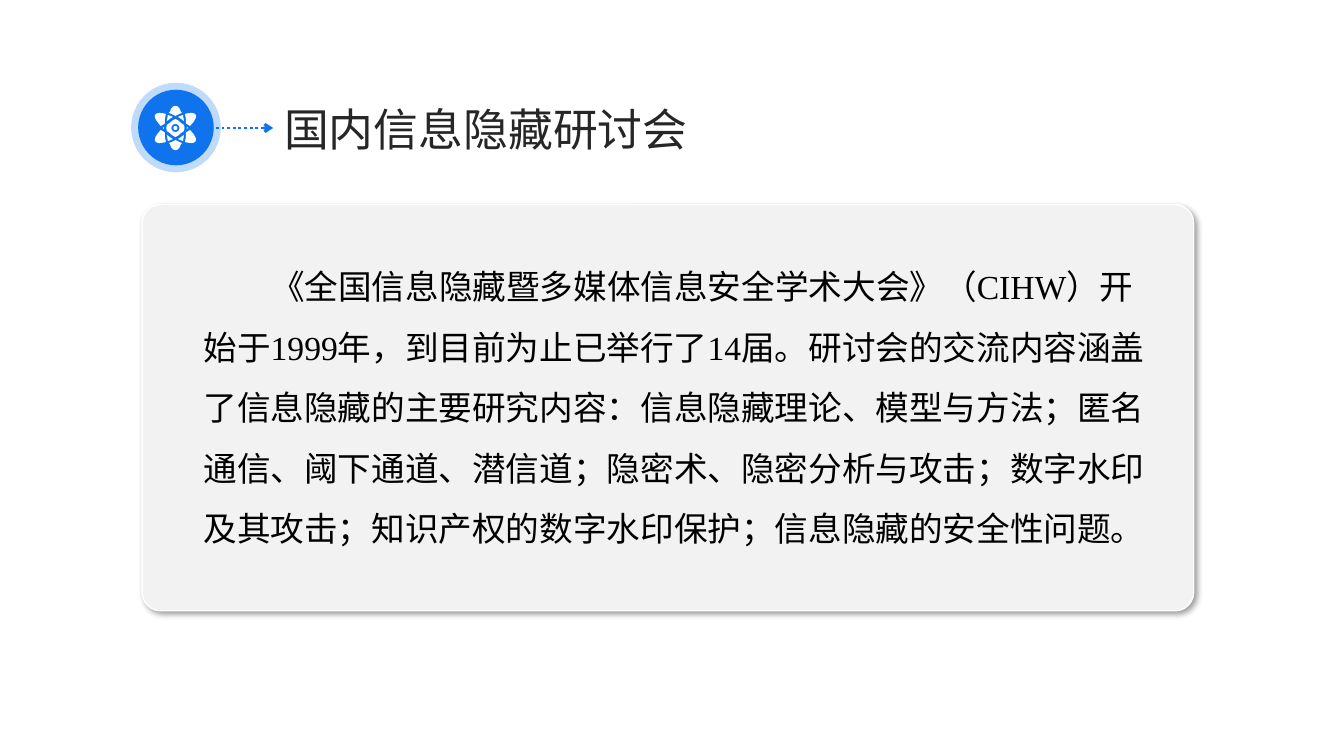
from math import cos, sin, tau

from lxml.etree import SubElement
from pptx import Presentation
from pptx.dml.color import RGBColor
from pptx.enum.dml import MSO_LINE_DASH_STYLE as DASH
from pptx.enum.shapes import MSO_CONNECTOR as CONN, MSO_SHAPE as SHAPE
from pptx.enum.text import MSO_AUTO_SIZE as AUTO
from pptx.oxml.ns import qn
from pptx.util import Inches, Pt

COLORS = {"blue": "0F73EE", "white": "FFFFFF", "panel": "F2F2F2",
          "title": "262626", "text": "000000"}
CJK_FONT = "Noto Sans CJK SC"

# Outlines of the atom's top right quarter, in 1/100 inch from its centre
PETAL_HALF = [(0, -22), (2, -21.5), (4, -19.5), (5.5, -16), (6.5, -15),
              (3.2, -13.6), (0, -12)]
SIDE_PETAL = [(14.5, -2), (18, -6), (20, -9.5), (20.5, -12), (19.5, -14),
              (16.5, -15), (13, -14.7), (9.5, -14), (10.3, -9.5),
              (10.5, -4.5), (12.5, -3.2)]
GAP = [(7.5, -13), (8.5, -7), (7.5, -7.5), (5, -9.5), (2.5, -11), (5, -12)]
SIDE_TIP = [(11.5, -1), (12.5, 0), (11.5, 1), (11.4, 0)]
CORE_QUARTER = [(0, -9), (3, -7.3), (5.5, -5), (8.5, -3), (9, 0)]


def color(name):
    return RGBColor.from_string(COLORS[name])


def mirror(points, sx, sy):
    return [(x * sx, y * sy) for x, y in points]


def circle(radius, steps=24):
    return [(radius * cos(tau * i / steps), radius * sin(tau * i / steps))
            for i in range(steps)]


def atom_outlines():
    petal = PETAL_HALF + mirror(PETAL_HALF, -1, 1)[::-1]
    core = CORE_QUARTER + mirror(CORE_QUARTER, 1, -1)[::-1]
    core += mirror(core, -1, 1)[::-1]
    outlines = [core, circle(4), circle(2)]
    for sign in (1, -1):
        outlines += [mirror(petal, 1, sign), mirror(SIDE_TIP, sign, 1)]
        for sy in (1, -1):
            outlines += [mirror(part, sign, sy) for part in (SIDE_PETAL, GAP)]
    return outlines


def write(p, text, *, size, font, fill, spacing=None, indent=0):
    if indent:
        p._p.get_or_add_pPr().set("indent", str(Inches(indent)))
    if spacing:
        p.line_spacing = spacing
    r = p.add_run()
    r.text = text
    r.font.size = Pt(size)
    r.font.name = font
    r.font.color.rgb = color(fill)
    SubElement(r._r.get_or_add_rPr(), qn("a:ea"), typeface=CJK_FONT)


class SlideBuilder:
    def __init__(self, prs):
        self.shapes = prs.slides.add_slide(prs.slide_layouts[6]).shapes

    def shape(self, kind, box, fill, line, width, line_alpha=None):
        s = self.shapes.add_shape(kind, *map(Inches, box))
        s.shadow.inherit = False
        s.fill.solid()
        s.fill.fore_color.rgb = color(fill)
        s.line.color.rgb = color(line)
        s.line.width = Pt(width)
        if line_alpha:
            rgb = s.line._ln.find(".//" + qn("a:srgbClr"))
            SubElement(rgb, qn("a:alpha"), val=str(line_alpha * 1000))
        return s

    def drop_shadow(self, s, blur, dist, angle, alpha):
        effects = s._element.spPr.find(qn("a:effectLst"))
        shadow = SubElement(effects, qn("a:outerShdw"), blurRad=str(Pt(blur)),
                            dist=str(Pt(dist)), dir=str(angle * 60000),
                            algn="tl", rotWithShape="0")
        rgb = SubElement(shadow, qn("a:srgbClr"), val=COLORS["text"])
        SubElement(rgb, qn("a:alpha"), val=str(alpha * 1000))

    def arrow(self, x1, y1, x2, y2, line, width):
        s = self.shapes.add_connector(CONN.STRAIGHT,
                                      *map(Inches, (x1, y1, x2, y2)))
        s.line.color.rgb = color(line)
        s.line.width = Pt(width)
        s.line.dash_style = DASH.ROUND_DOT
        SubElement(s.line._ln, qn("a:tailEnd"), type="arrow")
        SubElement(s._element.spPr, qn("a:effectLst"))

    def icon(self, cx, cy, outlines, fill):
        builder = None
        for outline in outlines:
            start, *rest = [(Inches(cx + x / 100), Inches(cy + y / 100))
                            for x, y in outline]
            if builder is None:
                builder = self.shapes.build_freeform(*start)
            else:
                builder.move_to(*start)
            builder.add_line_segments(rest, close=True)
        s = builder.convert_to_shape()
        s.shadow.inherit = False
        s.fill.solid()
        s.fill.fore_color.rgb = color(fill)
        s.line.fill.background()

    def text(self, box, text, wrap=True, **style):
        tf = self.shapes.add_textbox(*map(Inches, box)).text_frame
        tf.word_wrap = wrap
        tf.auto_size = AUTO.SHAPE_TO_FIT_TEXT
        write(tf.paragraphs[0], text, **style)


def main():
    prs = Presentation()
    prs.slide_width, prs.slide_height = Inches(13.33), Inches(7.5)
    slide = SlideBuilder(prs)

    # Heading with atom badge
    slide.shape(SHAPE.OVAL, (1.37, 0.89, 0.75, 0.75), "blue", "blue", 10,
                line_alpha=25)
    slide.arrow(2.03, 1.27, 2.71, 1.27, "blue", 2)
    slide.icon(1.74, 1.27, atom_outlines(), "white")
    slide.text((2.72, 0.96, 4.24, 0.64), "国内信息隐藏研讨会", wrap=False,
               size=32, font=CJK_FONT, fill="title")

    # Panel with description
    panel = slide.shape(SHAPE.ROUNDED_RECTANGLE, (1.41, 2.03, 10.43, 4.03),
                        "panel", "white", 1)
    panel.adjustments[0] = 0.046
    slide.drop_shadow(panel, blur=4, dist=3, angle=45, alpha=40)
    slide.text((1.92, 2.39, 9.56, 3.07),
               "《全国信息隐藏暨多媒体信息安全学术大会》（CIHW）开始于1999年，"
               "到目前为止已举行了14届。研讨会的交流内容涵盖了信息隐藏的主要研究内容："
               "信息隐藏理论、模型与方法；匿名通信、阈下通道、潜信道；"
               "隐密术、隐密分析与攻击；数字水印及其攻击；知识产权的数字水印保护；"
               "信息隐藏的安全性问题。",
               size=24, font="Times New Roman", fill="text",
               spacing=1.5, indent=0.67)

    prs.save("out.pptx")


if __name__ == "__main__":
    main()
